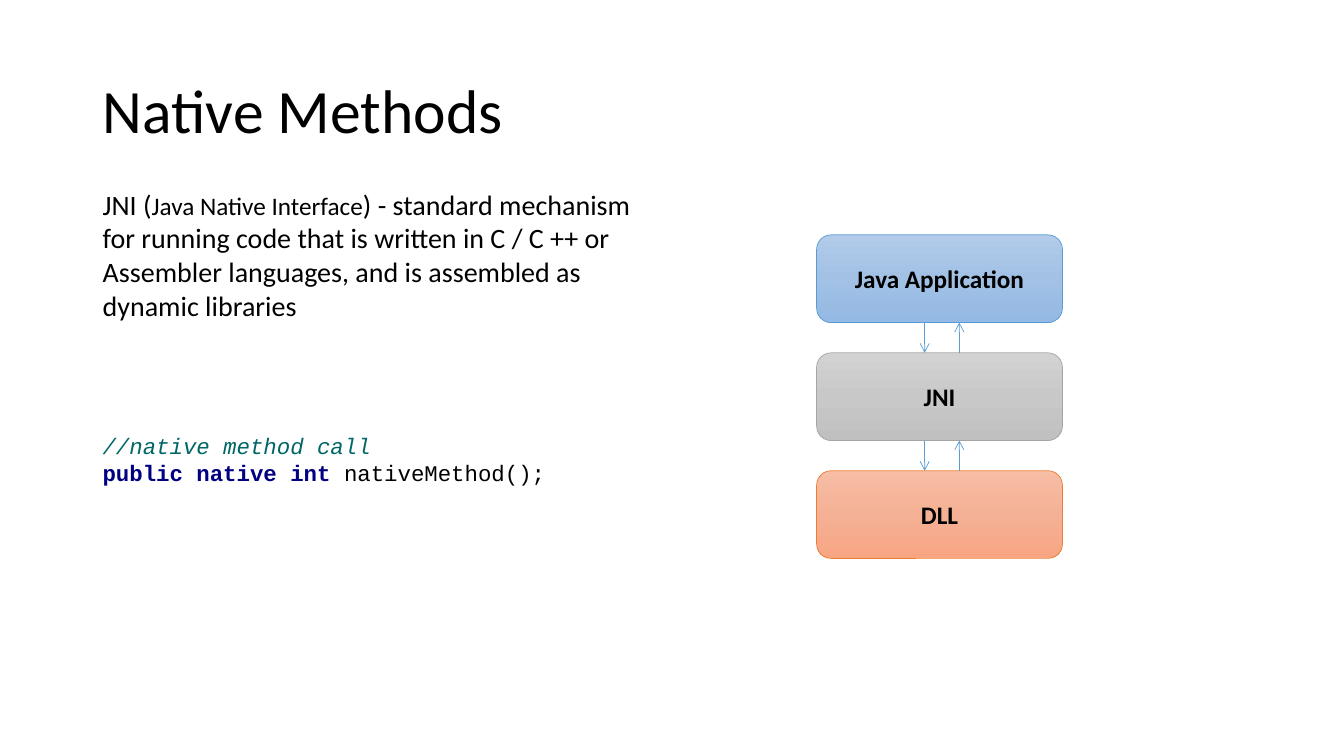
import copy
from typing import NamedTuple

import lxml.etree
import pptx
import pptx.dml.color
import pptx.enum.dml
import pptx.enum.shapes
import pptx.enum.text
import pptx.oxml.ns
import pptx.util

WIDE, HIGH = 13.33, 7.5
COLS = ROWS = 100  # the grid that all places and sizes count in

HUES = {
    "text": "000000",
    "note": "006666",
    "key": "000080",
    "arrow": "5B9BD5",
}

LEFT = 6.9
BOX_X, BOX_Y, BOX_W, BOX_H = 60.76, 31.07, 18.3, 11.6
STEP = 15.6
DOWN_X, UP_X = 68.8, 71.38

MID = pptx.enum.text.MSO_ANCHOR.MIDDLE
SHAPES = pptx.enum.shapes


class Run(NamedTuple):
    text: str
    size: float
    hue: str = "text"
    face: str = "Calibri"
    bold: bool = False
    slant: bool = False


class Layer(NamedTuple):
    name: str
    edge: str
    fade: tuple[str, str, str]


LAYERS = [
    Layer("Java Application", "5B9BD5", ("B1CBE9", "A3C1E5", "93B9E4")),
    Layer("JNI", "A5A5A5", ("D2D2D2", "C8C8C8", "C0C0C0")),
    Layer("DLL", "ED7D31", ("F7BDA5", "F5B196", "F8A582")),
]

ABOUT = [[
    Run("JNI (", 20),
    Run("Java Native Interface", 18),
    Run(") - standard mechanism for running code that is written in C / C ++ "
        "or Assembler languages, and is assembled as dynamic libraries", 20),
]]

CODE = [
    [Run("//native method call", 16, "note", "Courier New", slant=True)],
    [Run("public native int ", 16, "key", "Courier New", bold=True),
     Run("nativeMethod();", 16, face="Courier New")],
]


def col(n: float) -> int:
    return pptx.util.Inches(WIDE * n / COLS)


def row(n: float) -> int:
    return pptx.util.Inches(HIGH * n / ROWS)


def area(x: float, y: float, w: float, h: float) -> tuple[int, int, int, int]:
    return col(x), row(y), col(w), row(h)


def rgb(code: str) -> pptx.dml.color.RGBColor:
    return pptx.dml.color.RGBColor.from_string(code)


def style(part, run: Run) -> None:
    font = part.font
    font.name, font.size = run.face, pptx.util.Pt(run.size)
    font.bold, font.italic = run.bold, run.slant
    font.color.rgb = rgb(HUES[run.hue])


def label(frame, run: Run) -> None:
    """Fill a frame with one run, centred from top to bottom."""
    frame.text = run.text
    frame.vertical_anchor = MID
    style(frame.paragraphs[0].runs[0], run)


def head(slide, text: str) -> None:
    title = slide.shapes.title
    title.left, title.top, title.width, title.height = area(
        LEFT, 5.33, 86.27, 19.33)
    frame = title.text_frame
    label(frame, Run(text, 44))
    frame.auto_size = pptx.enum.text.MSO_AUTO_SIZE.NONE
    para = frame.paragraphs[0]
    para.alignment = pptx.enum.text.PP_ALIGN.LEFT
    para.line_spacing = 0.9


def prose(slide, spot: tuple[int, int, int, int],
          lines: list[list[Run]]) -> None:
    frame = slide.shapes.add_textbox(*spot).text_frame
    frame.word_wrap = True
    frame.auto_size = pptx.enum.text.MSO_AUTO_SIZE.SHAPE_TO_FIT_TEXT
    for i, line in enumerate(lines):
        para = frame.add_paragraph() if i else frame.paragraphs[0]
        for run in line:
            part = para.add_run()
            part.text = run.text
            style(part, run)


def blend(fill, fade: tuple[str, str, str]) -> None:
    """Fill with three even colour stops from top to bottom."""
    fill.gradient()
    fill.gradient_angle = 270
    first = fill.gradient_stops[0]._gs
    first.addnext(copy.deepcopy(first))
    for i, (stop, code) in enumerate(zip(fill.gradient_stops, fade)):
        stop.position = i / 2
        stop.color.rgb = rgb(code)


def block(slide, layer: Layer, y: float) -> None:
    box = slide.shapes.add_shape(
        SHAPES.MSO_SHAPE.ROUNDED_RECTANGLE, *area(BOX_X, y, BOX_W, BOX_H))
    box.shadow.inherit = False
    blend(box.fill, layer.fade)
    box.line.color.rgb = rgb(layer.edge)
    box.line.width = pptx.util.Pt(0.5)
    label(box.text_frame, Run(layer.name, 18, bold=True))
    box.text_frame.paragraphs[0].alignment = pptx.enum.text.PP_ALIGN.CENTER


def arrow(slide, x: float, start: float, end: float) -> None:
    link = slide.shapes.add_connector(
        SHAPES.MSO_CONNECTOR.STRAIGHT, col(x), row(start), col(x), row(end))
    link.line.color.rgb = rgb(HUES["arrow"])
    link.line.width = pptx.util.Pt(0.5)
    qn = pptx.oxml.ns.qn
    props = link._element.spPr
    lxml.etree.SubElement(props.find(qn("a:ln")), qn("a:tailEnd"), type="arrow")
    lxml.etree.SubElement(props, qn("a:effectLst"))


def main() -> None:
    deck = pptx.Presentation()
    deck.slide_width = pptx.util.Inches(WIDE)
    deck.slide_height = pptx.util.Inches(HIGH)
    slide = deck.slides.add_slide(deck.slide_layouts.get_by_name("Title Only"))

    head(slide, "Native Methods")
    for i, layer in enumerate(LAYERS):
        y = BOX_Y + i * STEP
        block(slide, layer, y)
        if i:
            above = y - STEP + BOX_H
            arrow(slide, DOWN_X, above, y)
            arrow(slide, UP_X, y, above)
    prose(slide, area(LEFT, 56.53, 35.63, 8.53), CODE)
    prose(slide, area(LEFT, 24.13, 42.38, 19.33), ABOUT)

    deck.save("out.pptx")


if __name__ == "__main__":
    main()
